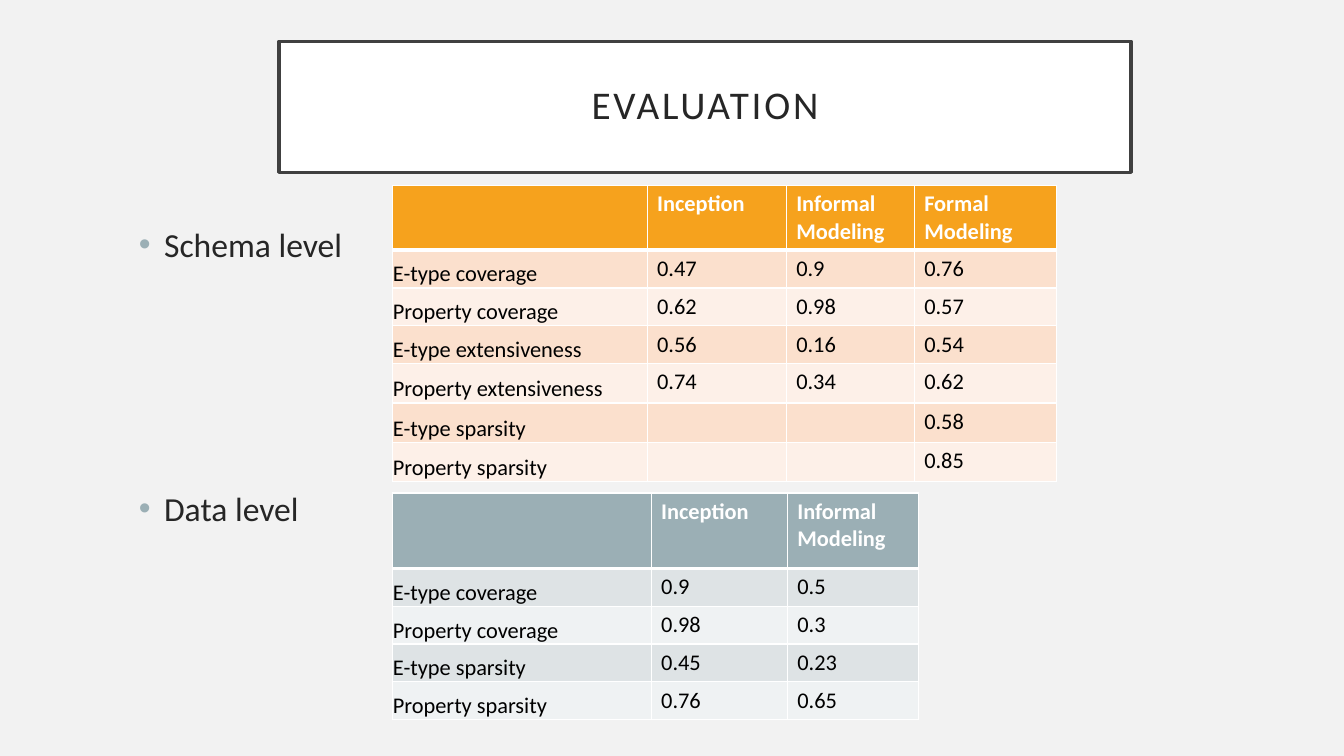
import pptx
import pptx.dml.color
import pptx.enum.text
import pptx.oxml.ns
import pptx.util
from lxml import etree

COLORS = {
    "background": "F2F2F2", "white": "FFFFFF", "frame": "404040",
    "text": "262626", "cell_text": "000000", "bullet": "9BAFB5",
}
SCHEMA_FILLS = {"header": "F6A21D", "odd": "FBE0CD", "even": "FDF0E8"}
DATA_FILLS = {"header": "9BAFB5", "odd": "DEE3E5", "even": "EFF2F3"}
FONT = "Calibri"

# Grid of 160 columns by 90 rows
SLIDE_WIDTH = pptx.util.Inches(13.33)
SLIDE_HEIGHT = pptx.util.Inches(7.5)
LABEL_LEFT, TABLE_LEFT = 15.36, 46.68

SCHEMA_ROWS = [
    ["", "Inception", "Informal Modeling", "Formal Modeling"],
    ["E-type coverage", "0.47", "0.9", "0.76"],
    ["Property coverage", "0.62", "0.98", "0.57"],
    ["E-type extensiveness", "0.56", "0.16", "0.54"],
    ["Property extensiveness", "0.74", "0.34", "0.62"],
    ["E-type sparsity", "", "", "0.58"],
    ["Property sparsity", "", "", "0.85"],
]
DATA_ROWS = [
    ["", "Inception", "Informal Modeling"],
    ["E-type coverage", "0.9", "0.5"],
    ["Property coverage", "0.98", "0.3"],
    ["E-type sparsity", "0.45", "0.23"],
    ["Property sparsity", "0.76", "0.65"],
]


def across(columns):
    return round(SLIDE_WIDTH * columns / 160)


def down(rows):
    return round(SLIDE_HEIGHT * rows / 90)


def rgb(value):
    return pptx.dml.color.RGBColor.from_string(value)


def child(parent, tag, **attributes):
    return etree.SubElement(parent, pptx.oxml.ns.qn(tag), **attributes)


def add_run(paragraph, text, size, color, bold=False):
    run = paragraph.add_run()
    run.text = text
    run.font.name = FONT
    run.font.size = pptx.util.Pt(size)
    run.font.bold = bold
    run.font.color.rgb = rgb(color)
    return run


def add_title(slide, text):
    title = slide.shapes.title
    title.left, title.top = across(33.24), down(4.92)
    title.width, title.height = across(101.4), down(15.6)
    title.fill.solid()
    title.fill.fore_color.rgb = rgb(COLORS["white"])
    title.line.color.rgb = rgb(COLORS["frame"])
    title.line.width = pptx.util.Pt(2.5)
    frame = title.text_frame
    frame.word_wrap = True
    frame.auto_size = pptx.enum.text.MSO_AUTO_SIZE.NONE
    frame.vertical_anchor = pptx.enum.text.MSO_ANCHOR.MIDDLE
    frame.margin_left = frame.margin_right = across(2.4)
    frame.margin_top = frame.margin_bottom = down(2.4)
    paragraph = frame.paragraphs[0]
    paragraph.alignment = pptx.enum.text.PP_ALIGN.CENTER
    paragraph.line_spacing = 0.9
    run = add_run(paragraph, text, 28, COLORS["text"])
    run.font._element.set("spc", "200")


def add_level_label(slide, text, top):
    label = slide.shapes.add_textbox(
        across(LABEL_LEFT), down(top), across(39.24), down(6.96))
    label.text_frame.word_wrap = True
    paragraph = label.text_frame.paragraphs[0]
    properties = paragraph._p.get_or_add_pPr()
    indent = across(3)
    properties.set("marL", str(indent))
    properties.set("indent", str(-indent))
    bullet_color = child(properties, "a:buClr")
    child(bullet_color, "a:srgbClr", val=COLORS["bullet"])
    child(properties, "a:buFont", typeface="Arial")
    child(properties, "a:buChar", char="•")
    add_run(paragraph, text, 24, COLORS["text"])


def add_borders(cell, is_header):
    properties = cell._tc.get_or_add_tcPr()
    for side in ("L", "R", "T", "B"):
        width = 3 if is_header and side == "B" else 1
        border = child(properties, f"a:ln{side}", w=str(pptx.util.Pt(width)))
        child(child(border, "a:solidFill"), "a:srgbClr", val=COLORS["white"])


def format_cell(cell, text, fill, is_header, is_row_label):
    add_borders(cell, is_header)
    cell.fill.solid()
    cell.fill.fore_color.rgb = rgb(fill)
    if is_row_label:
        cell.vertical_anchor = pptx.enum.text.MSO_ANCHOR.BOTTOM
        cell.margin_left = cell.margin_right = across(0.1)
        cell.margin_top, cell.margin_bottom = down(0.1), 0
    paragraph = cell.text_frame.paragraphs[0]
    if text:
        color = COLORS["white" if is_header else "cell_text"]
        add_run(paragraph, text, 16, color, is_header)
    else:
        child(paragraph._p, "a:endParaRPr", sz="1600")


def add_scores(slide, top, rows, column_widths, row_heights, fills):
    scores = slide.shapes.add_table(
        len(rows), len(column_widths), across(TABLE_LEFT), down(top),
        across(sum(column_widths)), down(sum(row_heights))).table
    scores.horz_banding = False
    for column, width in zip(scores.columns, column_widths):
        column.width = across(width)
    for row, height in zip(scores.rows, row_heights):
        row.height = down(height)
    for r, values in enumerate(rows):
        band = "header" if r == 0 else "odd" if r % 2 else "even"
        for c, value in enumerate(values):
            format_cell(scores.cell(r, c), value, fills[band],
                        r == 0, r > 0 and c == 0)


def main():
    deck = pptx.Presentation()
    deck.slide_width, deck.slide_height = SLIDE_WIDTH, SLIDE_HEIGHT
    slide = deck.slides.add_slide(deck.slide_layouts[5])
    slide.background.fill.solid()
    slide.background.fill.fore_color.rgb = rgb(COLORS["background"])

    add_title(slide, "EVALUATION")

    # Schema level
    add_level_label(slide, "Schema level", 26.04)
    add_scores(slide, 22.08, SCHEMA_ROWS, [30.36, 16.56, 15.24, 16.92],
               [7.7] + [4.5] * 3 + [4.7] * 3, SCHEMA_FILLS)

    # Data level
    add_level_label(slide, "Data level", 57.48)
    add_scores(slide, 58.68, DATA_ROWS, [30.84, 16.2, 15.6],
               [9] + [4.5] * 4, DATA_FILLS)

    deck.save("out.pptx")


if __name__ == "__main__":
    main()
